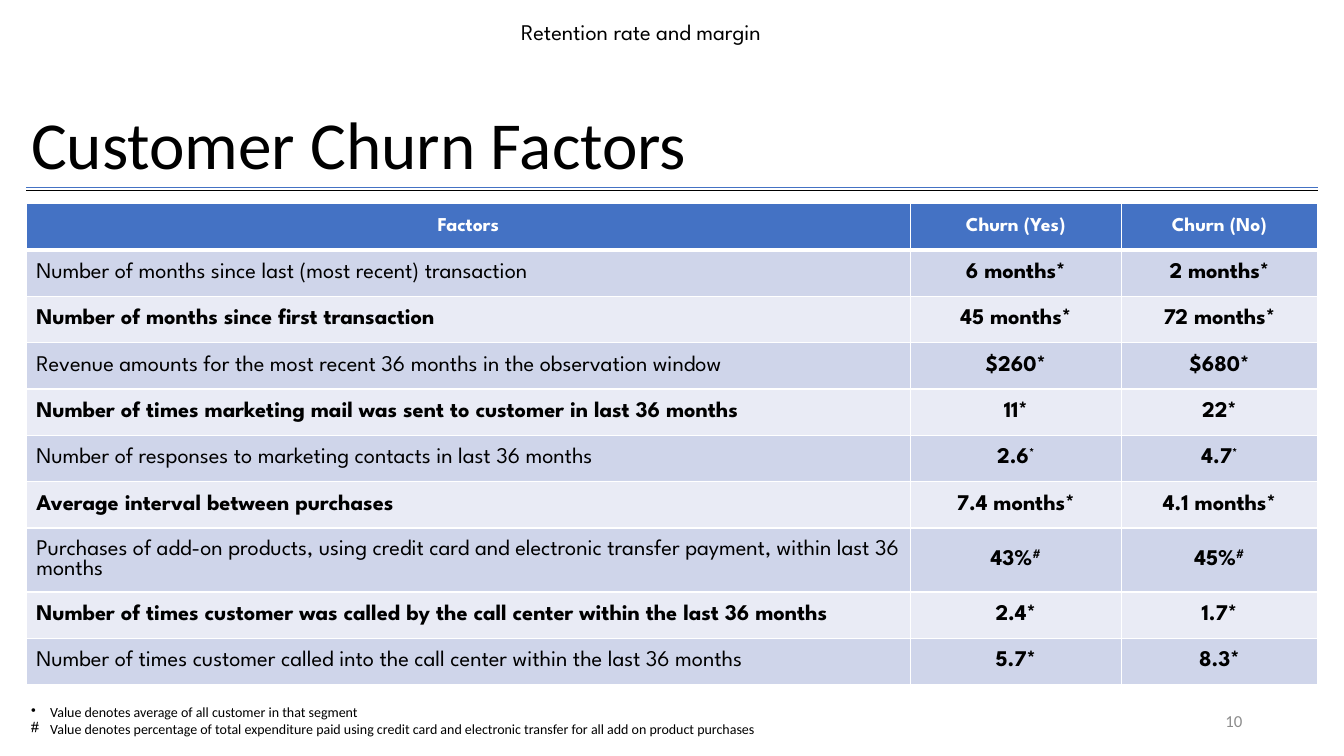
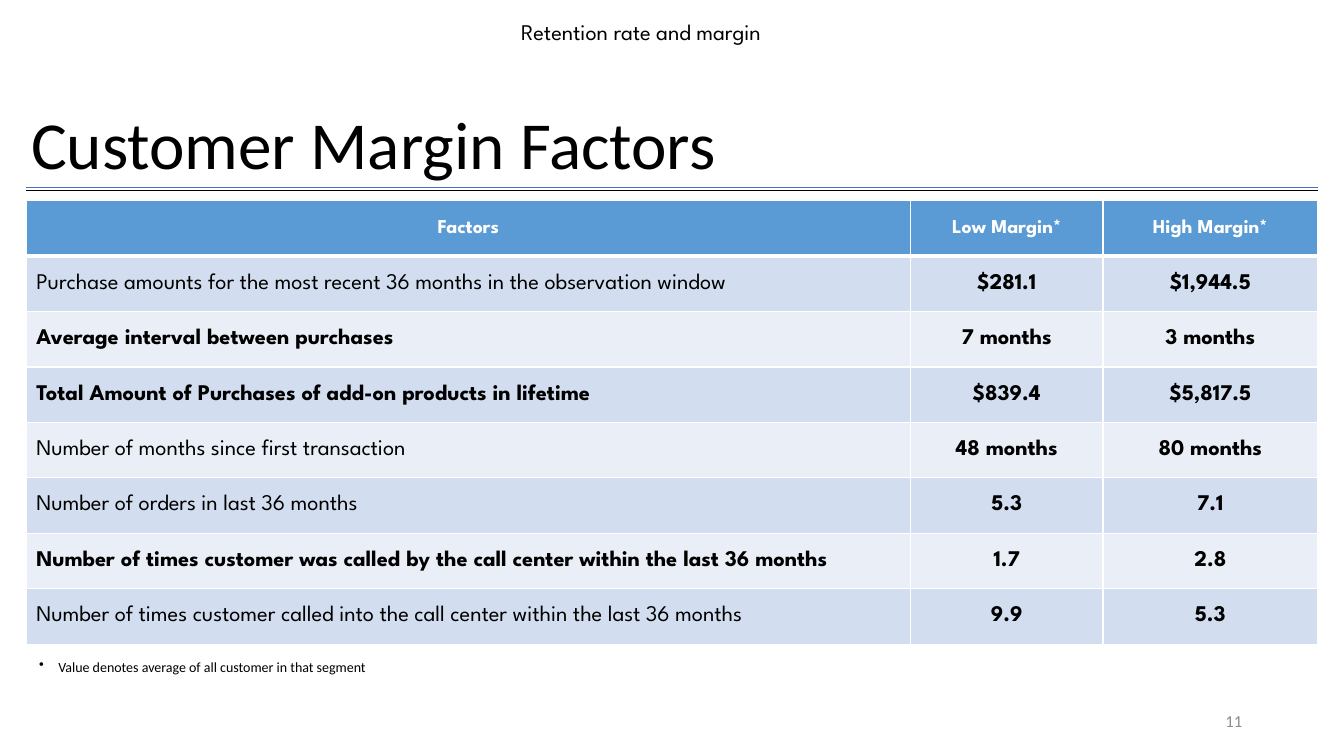
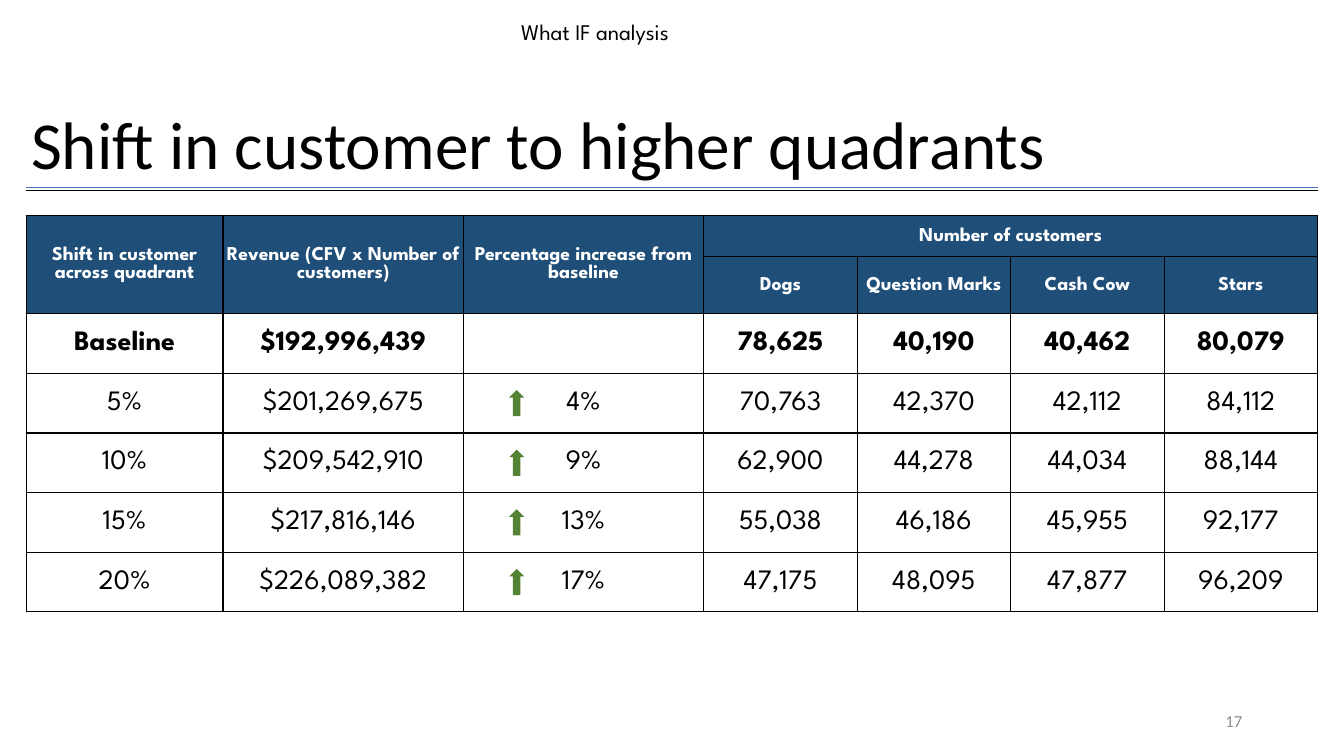
from dataclasses import dataclass

from lxml.etree import SubElement
from pptx import Presentation
from pptx.dml.color import RGBColor
from pptx.enum.shapes import MSO_CONNECTOR as Connector, MSO_SHAPE as Shape
from pptx.enum.text import MSO_ANCHOR as Anchor, PP_ALIGN as Align
from pptx.oxml.ns import qn
from pptx.util import Inches, Pt

COLORS = {
    "ink": "000000", "paper": "FFFFFF", "rule": "4472C4", "number": "8C8C8C",
    "churn_head": "4472C4", "churn_dark": "CFD5EA", "churn_light": "E9EBF5",
    "margin_head": "5B9BD5", "margin_dark": "D2DEEF", "margin_light": "EAEFF7",
    "shift_head": "1F4E79", "rise": "548235",
}
BODY, DISPLAY = "Calibri", "League Spartan"
SLIDE_W, SLIDE_H = 13.33, 7.5
AVERAGE_NOTE = ("•", "Value denotes average of all customer in that segment")


@dataclass
class Box:
    left: float
    top: float
    width: float
    height: float

    def inches(self):
        return [Inches(v) for v in (self.left, self.top, self.width, self.height)]


CONTENT_LEFT, CONTENT_WIDTH = 0.26, 12.81
TITLE = Box(0.21, 0.74, 11.5, 1.45)
SECTION = Box(5.07, 0, 3.08, 0.45)
NUMBER = Box(9.42, 6.95, 3, 0.4)
RULES = Box(CONTENT_LEFT, 1.86, CONTENT_WIDTH, 0.03)


def color(name):
    return RGBColor.from_string(COLORS[name])


def style(font, size, face, ink="ink", bold=False):
    font.size, font.name, font.bold = Pt(size), face, bold
    font.color.rgb = color(ink)


def add_text(slide, box, text, size, face, ink="ink", align=Align.LEFT,
             anchor=Anchor.TOP, spacing=1.0):
    frame = slide.shapes.add_textbox(*box.inches()).text_frame
    frame.word_wrap, frame.vertical_anchor = True, anchor
    line = frame.paragraphs[0]
    line.text, line.alignment, line.line_spacing = text, align, spacing
    style(line.runs[0].font, size, face, ink)


def add_rules(slide, box):
    for y, ink in ((box.top, "rule"), (box.top + box.height, "ink")):
        rule = slide.shapes.add_connector(
            Connector.STRAIGHT, Inches(box.left), Inches(y),
            Inches(box.left + box.width), Inches(y))
        rule.line.color.rgb, rule.line.width = color(ink), Pt(0.5)
        SubElement(rule._element.spPr, qn("a:effectLst"))


def add_frame(deck, section, title, number):
    slide = deck.slides.add_slide(deck.slide_layouts[6])
    add_text(slide, TITLE, title, 48, BODY, anchor=Anchor.MIDDLE, spacing=0.9)
    add_rules(slide, RULES)
    add_text(slide, NUMBER, str(number), 12, BODY, "number", Align.RIGHT, Anchor.MIDDLE)
    add_text(slide, SECTION, section, 16, DISPLAY, spacing=1.5)
    return slide


def add_notes(slide, box, notes):
    frame = slide.shapes.add_textbox(*box.inches()).text_frame
    frame.word_wrap = True
    for i, (mark, text) in enumerate(notes):
        note = frame.add_paragraph() if i else frame.paragraphs[0]
        note.text = text
        props = note._p.get_or_add_pPr()
        props.set("marL", str(Inches(0.19)))
        props.set("indent", str(-Inches(0.19)))
        SubElement(props, qn("a:buChar"), char=mark)
        style(note.runs[0].font, 10, BODY)


def add_grid(slide, box, columns, rows):
    grid = slide.shapes.add_table(len(rows), len(columns), *box.inches()).table
    for column, share in zip(grid.columns, columns):
        column.width = Inches(box.width * share / sum(columns))
    for row, share in zip(grid.rows, rows):
        row.height = Inches(box.height * share / sum(rows))
    return grid


def dress_cell(cell, fill, border, bottom=1):
    props = cell._tc.get_or_add_tcPr()
    for side, width in (("L", 1), ("R", 1), ("T", 1), ("B", bottom)):
        edge = SubElement(props, qn("a:ln" + side), w=str(Pt(width)))
        SubElement(SubElement(edge, qn("a:solidFill")), qn("a:srgbClr"), val=COLORS[border])
    if fill:
        cell.fill.solid()
        cell.fill.fore_color.rgb = color(fill)
    else:
        cell.fill.background()
    cell.vertical_anchor = Anchor.MIDDLE


def write_cell(cell, text, size, ink="ink", bold=False, align=Align.CENTER):
    line = cell.text_frame.paragraphs[0]
    line.alignment = align
    base, _, raised = text.partition("^")
    for part in filter(None, (base, raised)):
        run = line.add_run()
        run.text = part
        style(run.font, size, DISPLAY, ink, bold)
        if part is raised:
            run._r.get_or_add_rPr().set("baseline", "30000")


def add_factor_table(slide, box, columns, palette, header, factors):
    grid = add_grid(slide, box, columns, [1] * (len(factors) + 1))
    for c, label in enumerate(header):
        dress_cell(grid.cell(0, c), palette + "_head", "paper", bottom=3)
        write_cell(grid.cell(0, c), label, 14, "paper", True)
    for r, (key_factor, *texts) in enumerate(factors, 1):
        band = palette + ("_dark" if r % 2 else "_light")
        for c, text in enumerate(texts):
            dress_cell(grid.cell(r, c), band, "paper")
            write_cell(grid.cell(r, c), text, 16, bold=bool(c or key_factor),
                       align=Align.CENTER if c else Align.LEFT)


def add_shift_table(slide, box, columns, rows, measures, quadrants, shifts):
    grid = add_grid(slide, box, columns, rows)
    first = len(measures)
    header = [measures + ["Number of customers"], [""] * first + quadrants]
    for r, texts in enumerate(header + shifts):
        in_header = r < len(header)
        size, ink = (14, "paper") if in_header else (20, "ink")
        for c in range(len(columns)):
            cell = grid.cell(r, c)
            dress_cell(cell, "shift_head" if in_header else None, "ink")
            cell.margin_left = cell.margin_right = cell.margin_top = Inches(0.01)
            cell.margin_bottom = 0
            if c < len(texts):
                write_cell(cell, texts[c], size, ink, r <= len(header))
    for c in range(first):
        grid.cell(0, c).merge(grid.cell(1, c))
    grid.cell(0, first).merge(grid.cell(0, len(columns) - 1))


def add_rise_arrows(slide, box, columns, rows, column, first_row):
    unit_x, unit_y = box.width / sum(columns), box.height / sum(rows)
    width, height = 0.15, 0.26
    left = box.left + unit_x * (sum(columns[:column]) + 0.19 * columns[column])
    for r in range(first_row, len(rows)):
        middle = box.top + unit_y * (sum(rows[:r]) + rows[r] / 2)
        spot = Box(left, middle - height / 2, width, height)
        arrow = slide.shapes.add_shape(Shape.UP_ARROW, *spot.inches())
        arrow.shadow.inherit = False
        arrow.fill.solid()
        arrow.fill.fore_color.rgb = color("rise")
        arrow.line.fill.background()


def churn_slide(deck):
    slide = add_frame(deck, "Retention rate and margin", "Customer Churn Factors", 10)
    add_factor_table(
        slide, Box(CONTENT_LEFT, 2.02, CONTENT_WIDTH, 4.6), [8.77, 2.09, 1.95], "churn",
        ["Factors", "Churn (Yes)", "Churn (No)"],
        [
            (False, "Number of months since last (most recent) transaction",
             "6 months*", "2 months*"),
            (True, "Number of months since first transaction", "45 months*", "72 months*"),
            (False, "Revenue amounts for the most recent 36 months in the observation window",
             "$260*", "$680*"),
            (True, "Number of times marketing mail was sent to customer in last 36 months",
             "11*", "22*"),
            (False, "Number of responses to marketing contacts in last 36 months",
             "2.6^*", "4.7^*"),
            (True, "Average interval between purchases", "7.4 months*", "4.1 months*"),
            (False, "Purchases of add-on products, using credit card and electronic "
             "transfer payment, within last 36 months", "43%^#", "45%^#"),
            (True, "Number of times customer was called by the call center within the "
             "last 36 months", "2.4*", "1.7*"),
            (False, "Number of times customer called into the call center within the "
             "last 36 months", "5.7*", "8.3*"),
        ])
    add_notes(slide, Box(0.21, 6.93, 7.7, 0.44), [
        AVERAGE_NOTE,
        ("#", "Value denotes percentage of total expenditure paid using credit card and "
         "electronic transfer for all add on product purchases"),
    ])


def margin_slide(deck):
    slide = add_frame(deck, "Retention rate and margin", "Customer Margin Factors", 11)
    add_factor_table(
        slide, Box(CONTENT_LEFT, 1.99, CONTENT_WIDTH, 4.4), [8.77, 1.91, 2.13], "margin",
        ["Factors", "Low Margin*", "High Margin*"],
        [
            (False, "Purchase amounts for the most recent 36 months in the observation window",
             "$281.1", "$1,944.5"),
            (True, "Average interval between purchases", "7 months", "3 months"),
            (True, "Total Amount of Purchases of add-on products in lifetime",
             "$839.4", "$5,817.5"),
            (False, "Number of months since first transaction", "48 months", "80 months"),
            (False, "Number of orders in last 36 months", "5.3", "7.1"),
            (True, "Number of times customer was called by the call center within the "
             "last 36 months", "1.7", "2.8"),
            (False, "Number of times customer called into the call center within the "
             "last 36 months", "9.9", "5.3"),
        ])
    add_notes(slide, Box(0.29, 6.48, 3.7, 0.27), [AVERAGE_NOTE])


def shift_slide(deck):
    slide = add_frame(deck, "What IF analysis", "Shift in customer to higher quadrants", 17)
    box = Box(CONTENT_LEFT, 2.14, CONTENT_WIDTH, 3.93)
    columns = [1.95, 2.38, 2.38] + [1.52] * 4
    rows = [0.4, 0.57] + [0.59] * 5
    add_shift_table(
        slide, box, columns, rows,
        ["Shift in customer across quadrant", "Revenue (CFV x Number of customers)",
         "Percentage increase from baseline"],
        ["Dogs", "Question Marks", "Cash Cow", "Stars"],
        [
            ["Baseline", "$192,996,439", "", "78,625", "40,190", "40,462", "80,079"],
            ["5%", "$201,269,675", "4%", "70,763", "42,370", "42,112", "84,112"],
            ["10%", "$209,542,910", "9%", "62,900", "44,278", "44,034", "88,144"],
            ["15%", "$217,816,146", "13%", "55,038", "46,186", "45,955", "92,177"],
            ["20%", "$226,089,382", "17%", "47,175", "48,095", "47,877", "96,209"],
        ])
    add_rise_arrows(slide, box, columns, rows, column=2, first_row=3)


def main():
    deck = Presentation()
    deck.slide_width, deck.slide_height = Inches(SLIDE_W), Inches(SLIDE_H)
    churn_slide(deck)
    margin_slide(deck)
    shift_slide(deck)
    deck.save("out.pptx")


if __name__ == "__main__":
    main()
